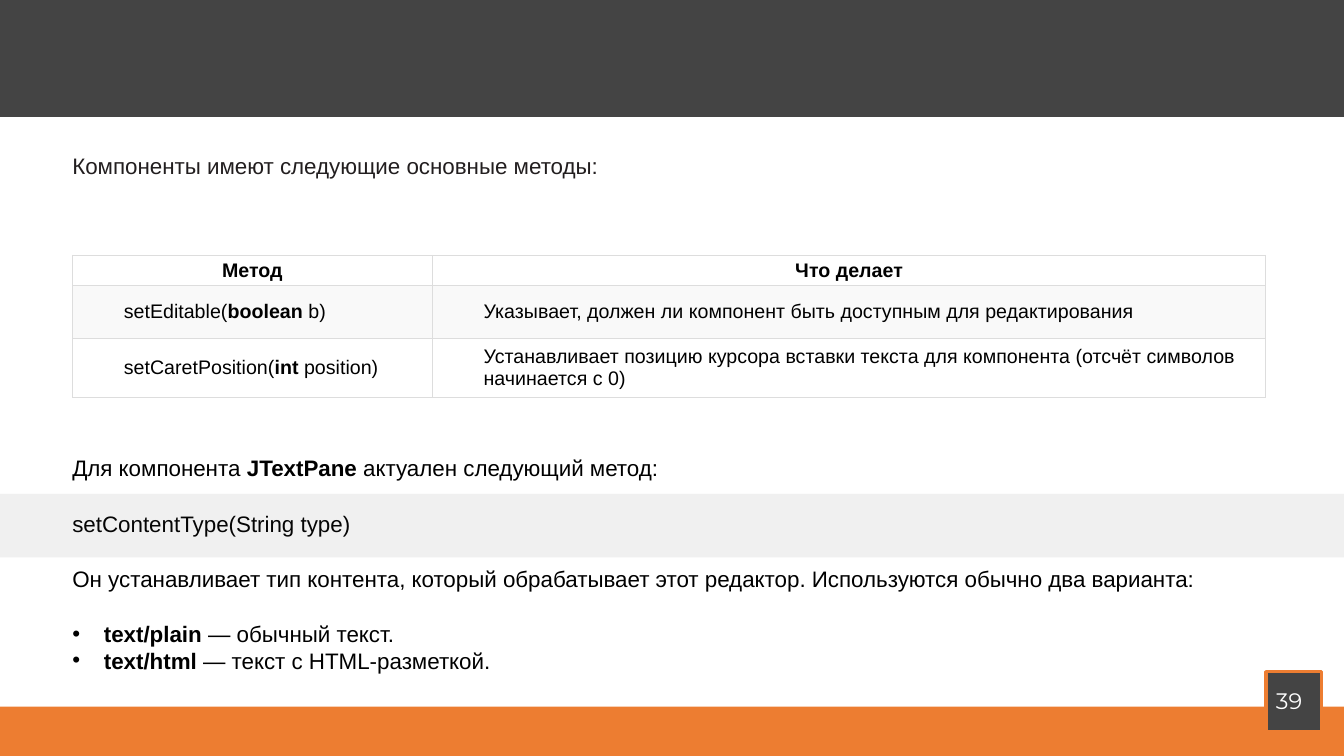
from lxml.etree import SubElement
from pptx import Presentation
from pptx.dml.color import RGBColor as RGB
from pptx.enum.shapes import MSO_SHAPE as SHAPE
from pptx.enum.text import MSO_ANCHOR as ANCHOR, PP_ALIGN as ALIGN
from pptx.oxml.ns import qn
from pptx.util import Pt

INTRO = "Компоненты имеют следующие основные методы:"
# Text between double asterisks is bold.
METHODS = [
    ("**Метод**", "**Что делает**"),
    ("setEditable(**boolean** b)",
     "Указывает, должен ли компонент быть доступным для редактирования"),
    ("setCaretPosition(**int** position)",
     "Устанавливает позицию курсора вставки текста для компонента "
     "(отсчёт символов начинается с 0)"),
]
DETAILS = [
    "Для компонента **JTextPane** актуален следующий метод:",
    "setContentType(String type)",
    "Он устанавливает тип контента, который обрабатывает этот редактор. "
    "Используются обычно два варианта:",
]
CONTENT_TYPES = ["**text/plain** — обычный текст.",
                 "**text/html** — текст с HTML-разметкой."]
PAGE = "39"

THEME = {
    "dark": "444444", "accent": "ED7D31", "white": "FFFFFF", "black": "000000",
    "intro": "221E1F", "stripe": "F9F9F9", "border": "DDDDDD",
    "font": "Arial", "page_font": "Montserrat", "body": 16, "cell": 14,
}
W, H = 960, 540
HEADER_H, FOOTER_H = 83.5, 35.3
TEXT_X = 44.6
COLS, ROWS = (257, 595.5), (21.6, 37.8, 42)
PAGE_X, PAGE_W = 904.3, 39.6
PARA_GAP, BULLET_INDENT, CELL_INDENT, CELL_INSET = 20.2, 22.5, 36, 0.7


def color(name):
    return RGB.from_string(THEME[name])


def add_text(tf, text, *, size=THEME["body"], font=THEME["font"], fill="black",
             align=ALIGN.LEFT, indent=0, bullet=None, after=0, spacing=None):
    """Append a paragraph, using the first one while it is still empty."""
    p = tf.paragraphs[-1]
    if p.runs:
        p = tf.add_paragraph()
    p.alignment, p.space_after = align, Pt(after)
    if spacing:
        p.line_spacing = spacing
    pPr = p._p.get_or_add_pPr()
    if indent:
        pPr.set("marL", str(Pt(indent)))
    if bullet:
        pPr.set("indent", str(-Pt(indent)))
        SubElement(pPr, qn("a:buFont")).set("typeface", THEME["font"])
        SubElement(pPr, qn("a:buChar")).set("char", bullet)
    for i, part in enumerate(text.split("**")):
        if part:
            r = p.add_run()
            r.text = part
            r.font.size, r.font.name, r.font.bold = Pt(size), font, i % 2 == 1
            r.font.color.rgb = color(fill)


def add_box(s, x, y, w, h):
    tf = s.shapes.add_textbox(Pt(x), Pt(y), Pt(w), Pt(h)).text_frame
    tf.word_wrap = True
    return tf


def add_rect(s, x, y, w, h, fill, *, line=None, alpha=None):
    sp = s.shapes.add_shape(SHAPE.RECTANGLE, Pt(x), Pt(y), Pt(w), Pt(h))
    sp.shadow.inherit = False
    sp.fill.solid()
    sp.fill.fore_color.rgb = color(fill)
    if alpha:
        clr = sp._element.spPr.find(qn("a:solidFill"))[0]
        SubElement(clr, qn("a:alpha")).set("val", str(alpha * 1000))
    if line:
        sp.line.color.rgb, sp.line.width = color(line), Pt(2.25)
    else:
        sp.line.fill.background()


def add_borders(cell):
    tcPr = cell._tc.get_or_add_tcPr()
    for side in "LRTB":
        ln = SubElement(tcPr, qn(f"a:ln{side}"), w=str(Pt(0.75)))
        fill = SubElement(ln, qn("a:solidFill"))
        SubElement(fill, qn("a:srgbClr")).set("val", THEME["border"])


def add_methods_table(s, x, y):
    table = s.shapes.add_table(len(ROWS), len(COLS), Pt(x), Pt(y),
                               Pt(sum(COLS)), Pt(sum(ROWS))).table
    table.first_row = table.horz_banding = False
    for col, w in zip(table.columns, COLS):
        col.width = Pt(w)
    for i, (row, h) in enumerate(zip(table.rows, ROWS)):
        row.height = Pt(h)
        for cell, text in zip(row.cells, METHODS[i]):
            add_borders(cell)
            cell.fill.solid()
            cell.fill.fore_color.rgb = color("stripe" if i % 2 else "white")
            cell.vertical_anchor = ANCHOR.MIDDLE
            cell.margin_left = cell.margin_right = Pt(CELL_INSET)
            cell.margin_top = cell.margin_bottom = Pt(CELL_INSET)
            add_text(cell.text_frame, text, size=THEME["cell"],
                     align=ALIGN.LEFT if i else ALIGN.CENTER,
                     indent=CELL_INDENT if i else 0)


def main():
    prs = Presentation()
    prs.slide_width, prs.slide_height = Pt(W), Pt(H)
    s = prs.slides.add_slide(prs.slide_layouts[6])

    add_rect(s, 0, H - FOOTER_H, W, FOOTER_H, "accent")
    add_rect(s, 0, 0, W, HEADER_H, "dark")
    add_rect(s, PAGE_X, 479.7, PAGE_W, 43, "dark", line="accent")
    add_text(add_box(s, PAGE_X, 487.4, PAGE_W, 26.6), PAGE,
             font=THEME["page_font"], fill="white", after=8, spacing=1.01)

    add_text(add_box(s, TEXT_X, 105.1, 826, 46), INTRO, fill="intro")
    tf = add_box(s, TEXT_X, 321.1, 899, 163)
    for text in DETAILS:
        add_text(tf, text, after=PARA_GAP)
    for text in CONTENT_TYPES:
        add_text(tf, text, indent=BULLET_INDENT, bullet="•")

    add_methods_table(s, TEXT_X + 7.2, 182.3)
    add_rect(s, 0, 352.8, W, 45.4, "dark", alpha=8)
    prs.save("out.pptx")


if __name__ == "__main__":
    main()
